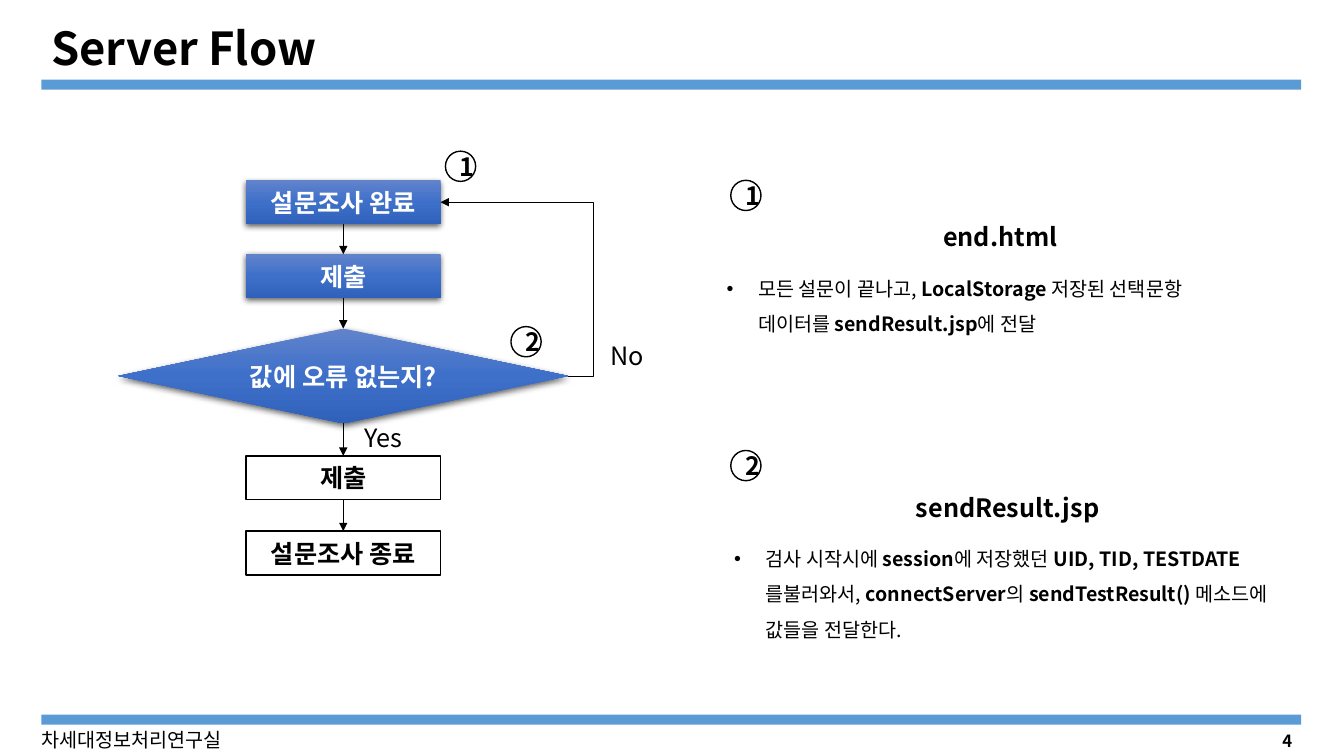
"""Build the Server Flow slide: a flowchart on the left, two explained files on the right."""
from dataclasses import dataclass

from lxml import etree
from pptx import Presentation
from pptx.dml.color import RGBColor
from pptx.enum import shapes, text
from pptx.oxml import ns
from pptx.util import Pt


@dataclass(frozen=True)
class Theme:
    font: str = "Noto Sans CJK KR"
    ink: str = "000000"
    paper: str = "FFFFFF"
    bar: str = "5B9BD5"
    gradient: tuple[tuple[int, str], ...] = ((0, "6183CB"), (50, "3E70CA"), (100, "3062BB"))
    title: float = 32.4
    label: float = 18
    body: float = 14
    page: float = 12


@dataclass(frozen=True)
class Box:
    left: float
    top: float
    width: float
    height: float

    def lengths(self) -> tuple[Pt, Pt, Pt, Pt]:
        return Pt(self.left), Pt(self.top), Pt(self.width), Pt(self.height)


@dataclass(frozen=True)
class Step:
    label: str
    top: float
    active: bool = False
    decision: bool = False


@dataclass(frozen=True)
class Caption:
    words: str
    box: Box
    size: float
    bold: bool = False
    align: text.PP_ALIGN = text.PP_ALIGN.LEFT
    grow: bool = True


@dataclass(frozen=True)
class Topic:
    number: str
    heading: str
    left: float
    top: float
    height: float
    right_inset: float
    phrases: tuple[tuple[str, bool], ...]


THEME = Theme()
KIND = shapes.MSO_SHAPE
AXIS = 245.2
STEP_WIDTH, STEP_HEIGHT = 139, 31.2
DECISION_WIDTH, DECISION_HEIGHT = 321.2, 67.7
BADGE = 21.6
BADGE_LEFT = 522

STEPS = (
    Step("설문조사 완료", 128.9, active=True),
    Step("제출", 181.6, active=True),
    Step("값에 오류 없는지?", 234.7, active=True, decision=True),
    Step("제출", 325.6),
    Step("설문조사 종료", 379.4),
)
CAPTIONS = (
    Caption("차세대정보처리연구실", Box(22.3, 516.2, 197.3, 24.5), THEME.body),
    Caption("Server Flow", Box(29.5, 11.5, 720.7, 44.6), THEME.title, bold=True, grow=False),
    Caption("4", Box(714.2, 518.4, 216, 21.6), THEME.page, bold=True,
            align=text.PP_ALIGN.RIGHT, grow=False),
    Caption("No", Box(429.1, 239.8, 54, 28.8), THEME.label),
    Caption("Yes", Box(253.4, 298.1, 54, 28.8), THEME.label),
)
TOPICS = (
    Topic("1", "end.html", 511.9, 154.8, 58.3, 37, (
        ("모든 설문이 끝나고, ", False), ("LocalStorage", True),
        (" 저장된 선택문항 데이터를 ", False), ("sendResult.jsp", True), ("에 전달", False))),
    Topic("2", "sendResult.jsp", 517.2, 347.8, 80.6, 7.2, (
        ("검사 시작시에 ", False), ("session", True), ("에 저장했던 ", False),
        ("UID, TID, TESTDATE", True), ("를불러와서, ", False), ("connectServer", True),
        ("의 ", False), ("sendTestResult() ", True), ("메소드에 값들을 전달한다.", False))),
)
FLOW_BADGES = (("1", 318.2, 108), ("2", 365, 233.3))


def rgb(code: str) -> RGBColor:
    return RGBColor.from_string(code)


def child(parent, tag: str, **attributes: str):
    return etree.SubElement(parent, ns.qn(tag), attributes)


def style_run(run, size: float, color: str, bold: bool) -> None:
    run.font.size, run.font.bold, run.font.name = Pt(size), bold, THEME.font
    run.font.color.rgb = rgb(color)
    child(run.font._element, "a:ea", typeface=THEME.font)


def write(shape, words: str, size: float, color: str, bold: bool, align: text.PP_ALIGN) -> None:
    shape.text_frame.text = words
    paragraph = shape.text_frame.paragraphs[0]
    paragraph.alignment = align
    style_run(paragraph.runs[0], size, color, bold)


def add_panel(slide, kind: shapes.MSO_SHAPE, box: Box, fill: str, outline: bool = False):
    panel = slide.shapes.add_shape(kind, *box.lengths())
    panel.shadow.inherit = False
    panel.fill.solid()
    panel.fill.fore_color.rgb = rgb(fill)
    if outline:
        panel.line.color.rgb, panel.line.width = rgb(THEME.ink), Pt(1)
    else:
        panel.line.fill.background()
    return panel


def raise_panel(panel) -> None:
    properties = panel._element.spPr
    properties.remove(properties.find(ns.qn("a:solidFill")))
    gradient = etree.Element(ns.qn("a:gradFill"), rotWithShape="1")
    stops = child(gradient, "a:gsLst")
    for position, color in THEME.gradient:
        child(child(stops, "a:gs", pos=str(position * 1000)), "a:srgbClr", val=color)
    child(gradient, "a:lin", ang="5400000", scaled="0")
    properties.find(ns.qn("a:prstGeom")).addnext(gradient)
    shadow = child(properties.find(ns.qn("a:effectLst")), "a:outerShdw", blurRad=str(Pt(4.5)),
                   dist=str(Pt(1.5)), dir="5400000", algn="ctr", rotWithShape="0")
    child(child(shadow, "a:srgbClr", val=THEME.ink), "a:alpha", val="63000")


def add_step(slide, step: Step):
    width, height = (DECISION_WIDTH, DECISION_HEIGHT) if step.decision else (STEP_WIDTH, STEP_HEIGHT)
    kind = KIND.FLOWCHART_DECISION if step.decision else KIND.ROUNDED_RECTANGLE
    box = Box(AXIS - width / 2, step.top, width, height)
    panel = add_panel(slide, kind, box, THEME.paper, outline=not step.active)
    if not step.decision:
        panel.adjustments[0] = 0
    if step.active:
        raise_panel(panel)
    color = THEME.paper if step.active else THEME.ink
    write(panel, step.label, THEME.label, color, True, text.PP_ALIGN.CENTER)
    return panel


def add_arrow(slide, kind: shapes.MSO_CONNECTOR, ends: tuple[float, ...], width: float):
    arrow = slide.shapes.add_connector(kind, *(Pt(value) for value in ends))
    arrow.line.color.rgb, arrow.line.width = rgb(THEME.ink), Pt(width)
    child(arrow.line._get_or_add_ln(), "a:tailEnd", type="triangle")
    child(arrow._element.spPr, "a:effectLst")
    return arrow


def add_badge(slide, number: str, left: float, top: float) -> None:
    badge = add_panel(slide, KIND.OVAL, Box(left, top, BADGE, BADGE), THEME.paper, outline=True)
    write(badge, number, THEME.label, THEME.ink, True, text.PP_ALIGN.CENTER)


def add_frame(slide, box: Box, grow: bool = True):
    frame = slide.shapes.add_textbox(*box.lengths())
    frame.text_frame.word_wrap = True
    if grow:
        frame.text_frame.auto_size = text.MSO_AUTO_SIZE.SHAPE_TO_FIT_TEXT
    else:
        frame.text_frame.vertical_anchor = text.MSO_ANCHOR.MIDDLE
    return frame


def add_caption(slide, caption: Caption) -> None:
    frame = add_frame(slide, caption.box, caption.grow)
    write(frame, caption.words, caption.size, THEME.ink, caption.bold, caption.align)


def add_topic(slide, topic: Topic) -> None:
    add_badge(slide, topic.number, BADGE_LEFT, topic.top - 26)
    add_caption(slide, Caption(topic.heading, Box(topic.left + 68.7, topic.top, 267.8, 28.8),
                               THEME.label, bold=True, align=text.PP_ALIGN.CENTER))
    body = add_frame(slide, Box(topic.left, topic.top + 31, 404.6, topic.height)).text_frame
    body.margin_right = Pt(topic.right_inset)
    paragraph = body.paragraphs[0]
    paragraph.line_spacing = 1.5
    properties = paragraph._p.get_or_add_pPr()
    properties.set("marL", str(Pt(22.5)))
    properties.set("indent", str(-Pt(22.5)))
    child(properties, "a:buFont", typeface="Arial")
    child(properties, "a:buChar", char="•")
    for words, bold in topic.phrases:
        run = paragraph.add_run()
        run.text = words
        style_run(run, THEME.body, THEME.ink, bold)


def main() -> None:
    deck = Presentation()
    deck.slide_width, deck.slide_height = Pt(960), Pt(540)
    slide = deck.slides.add_slide(deck.slide_layouts[6])
    for bar_top in (56.9, 510.5):
        add_panel(slide, KIND.RECTANGLE, Box(29.5, bar_top, 900, 7.2), THEME.bar)
    steps = [add_step(slide, step) for step in STEPS]
    for upper, lower in zip(steps, steps[1:]):
        arrow = add_arrow(slide, shapes.MSO_CONNECTOR.STRAIGHT, (0, 0, 0, 0), 1)
        arrow.begin_connect(upper, 2)
        arrow.end_connect(lower, 0)
    retry = add_arrow(slide, shapes.MSO_CONNECTOR.ELBOW, (405.8, 268.55, 314.7, 144.5), 0.5)
    bend = retry._element.spPr.find(ns.qn("a:prstGeom")).find(ns.qn("a:avLst"))
    child(bend, "a:gd", name="adj1", fmla="val -19800")
    for caption in CAPTIONS:
        add_caption(slide, caption)
    for topic in TOPICS:
        add_topic(slide, topic)
    for badge in FLOW_BADGES:
        add_badge(slide, *badge)
    deck.save("out.pptx")


if __name__ == "__main__":
    main()
